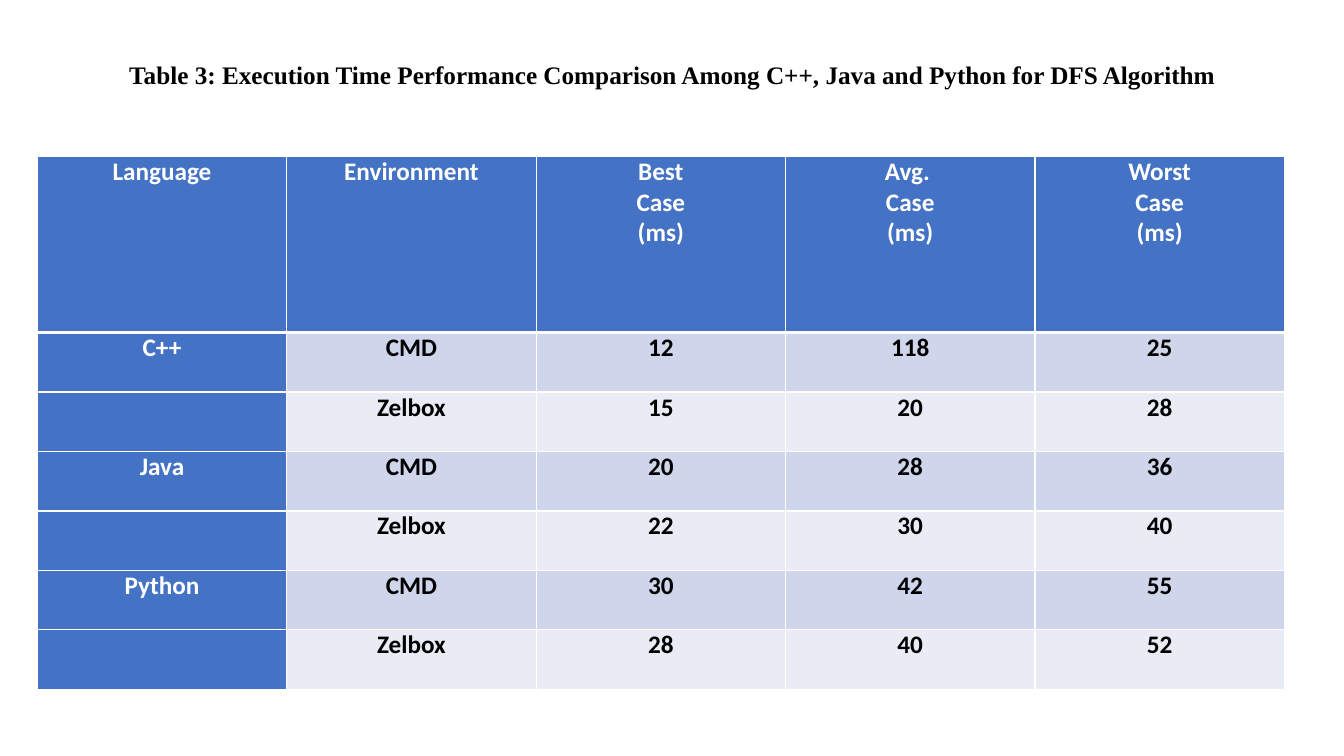
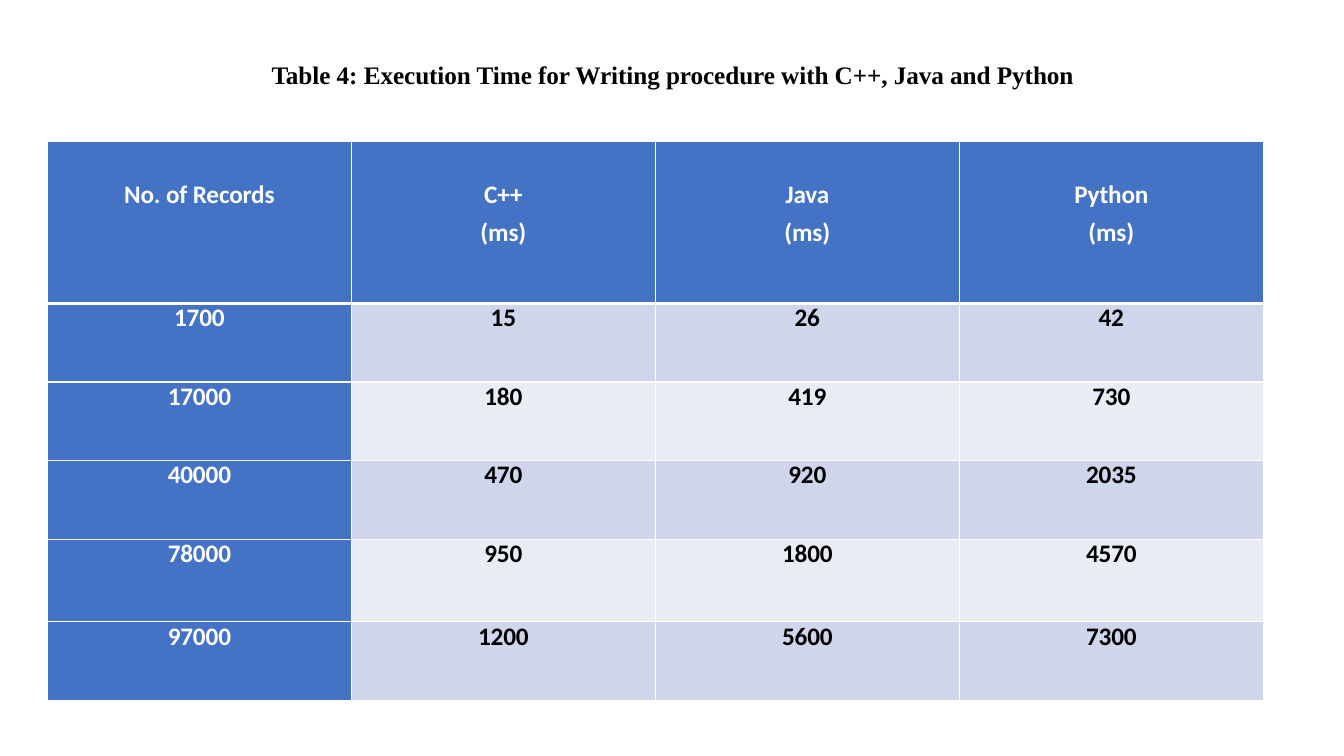
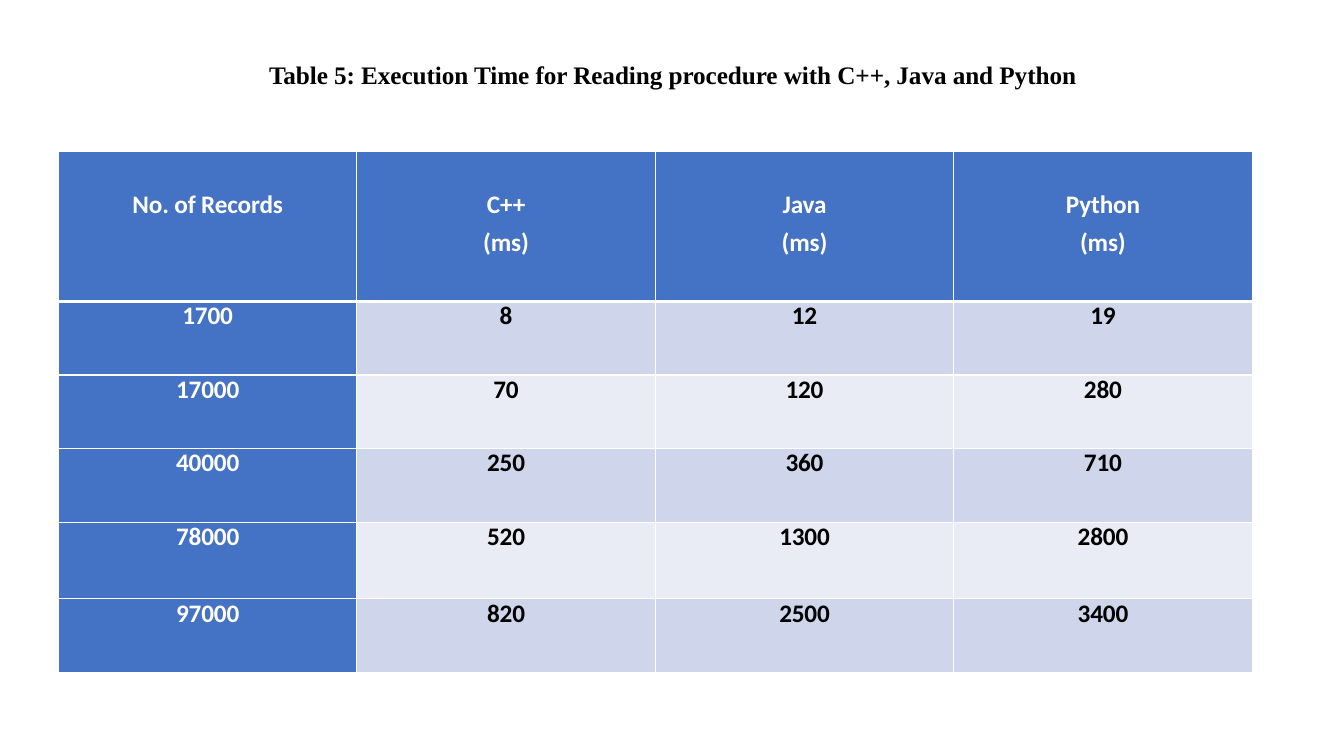
from dataclasses import dataclass

from lxml import etree
from pptx import Presentation
from pptx.dml.color import RGBColor
from pptx.enum.text import MSO_ANCHOR, PP_ALIGN
from pptx.oxml.ns import qn
from pptx.util import Inches, Pt

CENTER = PP_ALIGN.CENTER
TOP = MSO_ANCHOR.TOP


@dataclass(frozen=True)
class Theme:
    blue: str = "4472C4"
    band_dark: str = "CFD5EA"
    band_light: str = "E9EBF5"
    white: str = "FFFFFF"
    black: str = "000000"
    title_font: str = "Times New Roman"
    table_font: str = "Calibri"
    size: int = 18
    border: float = 1
    header_rule: float = 3


THEME = Theme()

# Content: tracking is in hundredths of a point
RECORD_HEADER = ["No. of Records", "C++\n(ms)", "Java\n(ms)", "Python\n(ms)"]
RECORD_STYLE = {"tracking": -10, "title_tracking": -5, "line_spacing": 0.95,
                "space_after": 6, "header_inset": 0.39}
PLAIN_STYLE = {"tracking": 0, "title_tracking": 0, "line_spacing": 1.0,
               "space_after": 0, "header_inset": 0}

slides = [
    {
        "title": "Table 3: Execution Time Performance Comparison Among "
                 "C++, Java and Python for DFS Algorithm",
        "left": 0.37, "top": 1.55, "width": 12.37,
        "heights": [1.75] + [0.59] * 6,
        "style": PLAIN_STYLE,
        "rows": [
            ["Language", "Environment", "Best\nCase\n(ms)",
             "Avg. \nCase\n(ms)", "Worst\nCase\n(ms)"],
            ["C++", "CMD", 12, 118, 25],
            ["", "Zelbox", 15, 20, 28],
            ["Java", "CMD", 20, 28, 36],
            ["", "Zelbox", 22, 30, 40],
            ["Python", "CMD", 30, 42, 55],
            ["", "Zelbox", 28, 40, 52],
        ],
    },
    {
        "title": "Table 4: Execution Time for Writing procedure with "
                 "C++, Java and Python",
        "left": 0.47, "top": 1.4, "width": 12.06,
        "heights": [1.61, 0.78, 0.78, 0.78, 0.82, 0.78],
        "style": RECORD_STYLE,
        "rows": [
            RECORD_HEADER,
            [1700, 15, 26, 42],
            [17000, 180, 419, 730],
            [40000, 470, 920, 2035],
            [78000, 950, 1800, 4570],
            [97000, 1200, 5600, 7300],
        ],
    },
    {
        "title": "Table 5: Execution Time for Reading procedure with "
                 "C++, Java and Python",
        "left": 0.58, "top": 1.5, "width": 11.84,
        "heights": [1.49, 0.73, 0.73, 0.73, 0.76, 0.73],
        "style": RECORD_STYLE,
        "rows": [
            RECORD_HEADER,
            [1700, 8, 12, 19],
            [17000, 70, 120, 280],
            [40000, 250, 360, 710],
            [78000, 520, 1300, 2800],
            [97000, 820, 2500, 3400],
        ],
    },
]


def format_text(frame, font, color, style):
    for paragraph in frame.paragraphs:
        paragraph.alignment = CENTER
        paragraph.line_spacing = style["line_spacing"]
        paragraph.space_after = Pt(style["space_after"])
        for run in paragraph.runs:
            run.font.name = font
            run.font.size = Pt(THEME.size)
            run.font.bold = True
            run.font.color.rgb = RGBColor.from_string(color)
            if style["tracking"]:
                run.font._element.set("spc", str(style["tracking"]))


def set_borders(cell, top, bottom):
    widths = {"lnL": THEME.border, "lnR": THEME.border, "lnT": top, "lnB": bottom}
    properties = cell._tc.get_or_add_tcPr()
    for position, (side, width) in enumerate(widths.items()):
        line = etree.Element(qn(f"a:{side}"), w=str(Pt(width)))
        fill = etree.SubElement(line, qn("a:solidFill"))
        etree.SubElement(fill, qn("a:srgbClr"), val=THEME.white)
        properties.insert(position, line)


prs = Presentation()
prs.slide_width = Inches(13.33)
prs.slide_height = Inches(7.5)
blank = prs.slide_layouts[6]

for content in slides:
    slide = prs.slides.add_slide(blank)
    style = content["style"]
    rows = content["rows"]

    # Title
    title = slide.shapes.add_textbox(
        Inches(0.92), Inches(0.4), Inches(11.5), Inches(1.45)).text_frame
    title.word_wrap = True
    title.vertical_anchor = TOP
    title.margin_top = Inches(0.22)
    title.text = content["title"]
    format_text(title, THEME.title_font, THEME.black,
                {"tracking": style["title_tracking"],
                 "line_spacing": 0.9, "space_after": 0})

    # Table grid
    width = Inches(content["width"])
    table = slide.shapes.add_table(
        len(rows), len(rows[0]), Inches(content["left"]), Inches(content["top"]),
        width, Inches(sum(content["heights"]))).table
    table.first_col = True
    for column in table.columns:
        column.width = width // len(rows[0])
    for row, height in zip(table.rows, content["heights"]):
        row.height = Inches(height)

    # Cells: blue header row and first column, banded values
    for r, values in enumerate(rows):
        band = THEME.band_dark if r % 2 else THEME.band_light
        for c, value in enumerate(values):
            cell = table.cell(r, c)
            heading = r == 0 or c == 0
            cell.margin_left = cell.margin_right = Inches(0.07)
            cell.margin_top = Inches(style["header_inset"] if r == 0 else 0)
            cell.margin_bottom = 0
            cell.fill.solid()
            cell.fill.fore_color.rgb = RGBColor.from_string(
                THEME.blue if heading else band)
            set_borders(cell,
                        THEME.header_rule if r == 1 else THEME.border,
                        THEME.header_rule if r == 0 else THEME.border)
            cell.text_frame.text = str(value)
            format_text(cell.text_frame, THEME.table_font,
                        THEME.white if heading else THEME.black, style)

prs.save("out.pptx")
